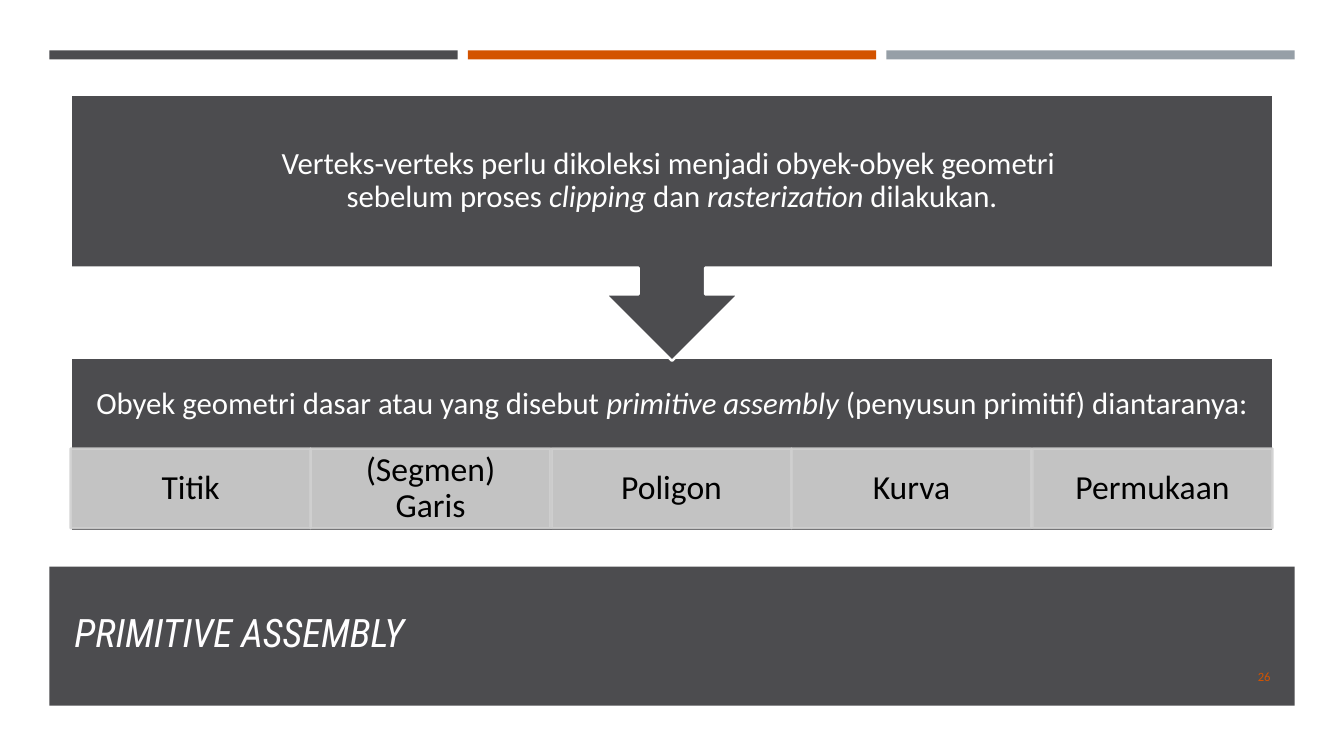
from dataclasses import dataclass
from typing import Optional

from lxml import etree
from pptx import Presentation
from pptx import util as u
from pptx.dml.color import RGBColor
from pptx.enum import shapes, text
from pptx.oxml.ns import qn

PX = 9144
COLORS = {
    "charcoal": "4C4C4F",
    "orange": "D35300",
    "steel": "969FA7",
    "white": "FFFFFF",
    "title": "FFFEFF",
    "silver": "D0D0D0",
    "black": "000000",
}
RECT = shapes.MSO_SHAPE.RECTANGLE
CALLOUT = shapes.MSO_SHAPE.DOWN_ARROW_CALLOUT
LEFT, CENTER, RIGHT = text.PP_ALIGN.LEFT, text.PP_ALIGN.CENTER, text.PP_ALIGN.RIGHT
MIDDLE, BOTTOM = text.MSO_ANCHOR.MIDDLE, text.MSO_ANCHOR.BOTTOM


@dataclass(frozen=True)
class Box:
    left: int
    top: int
    width: int
    height: int

    def emu(self) -> list[u.Emu]:
        return [u.Emu(v * PX) for v in (self.left, self.top, self.width, self.height)]


@dataclass(frozen=True)
class Label:
    wording: str
    size: int
    color: str
    font: str = "Calibri"
    italic: Optional[bool] = None
    align: text.PP_ALIGN = CENTER
    anchor: text.MSO_ANCHOR = MIDDLE
    insets: tuple[int, int, int, int] = (10, 5, 10, 5)
    spacing: float = 1.0


@dataclass(frozen=True)
class Block:
    box: Box
    fill: str
    line: Optional[str] = None
    opacity: int = 100
    kind: shapes.MSO_SHAPE = RECT
    label: Optional[Label] = None


def rgb(name: str) -> RGBColor:
    return RGBColor.from_string(COLORS[name])


def write_label(shape, label: Label) -> None:
    frame = shape.text_frame
    frame.word_wrap = True
    frame.vertical_anchor = label.anchor
    frame.margin_left, frame.margin_top, frame.margin_right, frame.margin_bottom = (
        u.Emu(v * PX) for v in label.insets
    )
    paragraph = frame.paragraphs[0]
    paragraph.alignment = label.align
    paragraph.line_spacing = label.spacing
    font = paragraph.font
    font.name, font.size, font.italic = label.font, u.Pt(label.size), label.italic
    font.color.rgb = rgb(label.color)
    for index, piece in enumerate(label.wording.split("*")):
        for row, line in enumerate(piece.split("\n")):
            if row:
                paragraph.add_line_break()
            run = paragraph.add_run()
            run.text = line
            if index % 2:
                run.font.italic = True


def draw_block(slide, block: Block) -> None:
    shape = slide.shapes.add_shape(block.kind, *block.box.emu())
    shape.shadow.inherit = False
    shape.fill.solid()
    shape.fill.fore_color.rgb = rgb(block.fill)
    if block.line:
        shape.line.color.rgb = rgb(block.line)
        shape.line.width = u.Pt(1.75)
    else:
        shape.line.fill.background()
    if block.opacity < 100:
        for color in shape.element.spPr.iter(qn("a:srgbClr")):
            etree.SubElement(color, qn("a:alpha"), val=str(block.opacity * 1000))
    if block.label:
        write_label(shape, block.label)


def draw_text(slide, box: Box, label: Label) -> None:
    write_label(slide.shapes.add_textbox(*box.emu()), label)


def main() -> None:
    deck = Presentation()
    deck.slide_width, deck.slide_height = u.Emu(1333 * PX), u.Emu(750 * PX)
    slide = deck.slides.add_slide(deck.slide_layouts[6])

    top_bars = [
        Block(Box(49 + 415 * i, 50, 405, 10), color)
        for i, color in enumerate(("charcoal", "orange", "steel"))
    ]
    backdrop = Block(Box(0, 59, 1333, 691), "white")
    title_band = Block(Box(49, 562, 1235, 138), "charcoal")
    assembly = Block(
        Box(70, 355, 1193, 172), "charcoal", "white",
        label=Label(
            "Obyek geometri dasar atau yang disebut *primitive assembly*"
            " (penyusun primitif) diantaranya:",
            22, "white", insets=(17, 17, 17, 96), spacing=0.9,
        ),
    )
    primitives = [
        Block(
            Box(70 + 1193 * i // 5, 445, 238, 79), "silver", "silver", 90,
            label=Label(name, 24, "black", insets=(19, 3, 19, 3), spacing=0.9),
        )
        for i, name in enumerate(
            ("Titik", "(Segmen) Garis", "Poligon", "Kurva", "Permukaan")
        )
    ]
    collection = Block(
        Box(70, 94, 1193, 264), "charcoal", "white", kind=CALLOUT,
        label=Label(
            "Verteks-verteks perlu dikoleksi menjadi obyek-obyek geometri \n"
            "sebelum proses *clipping* dan *rasterization* dilakukan.",
            22, "white", insets=(17, 17, 17, 17), spacing=0.9,
        ),
    )
    for block in (*top_bars, backdrop, title_band, assembly, *primitives, collection):
        draw_block(slide, block)

    draw_text(
        slide, Box(64, 576, 1206, 79),
        Label("PRIMITIVE ASSEMBLY", 28, "title", "Roboto Condensed", True, LEFT, BOTTOM),
    )
    draw_text(slide, Box(1155, 651, 115, 40), Label("26", 9, "orange", align=RIGHT))
    deck.save("out.pptx")


if __name__ == "__main__":
    main()
